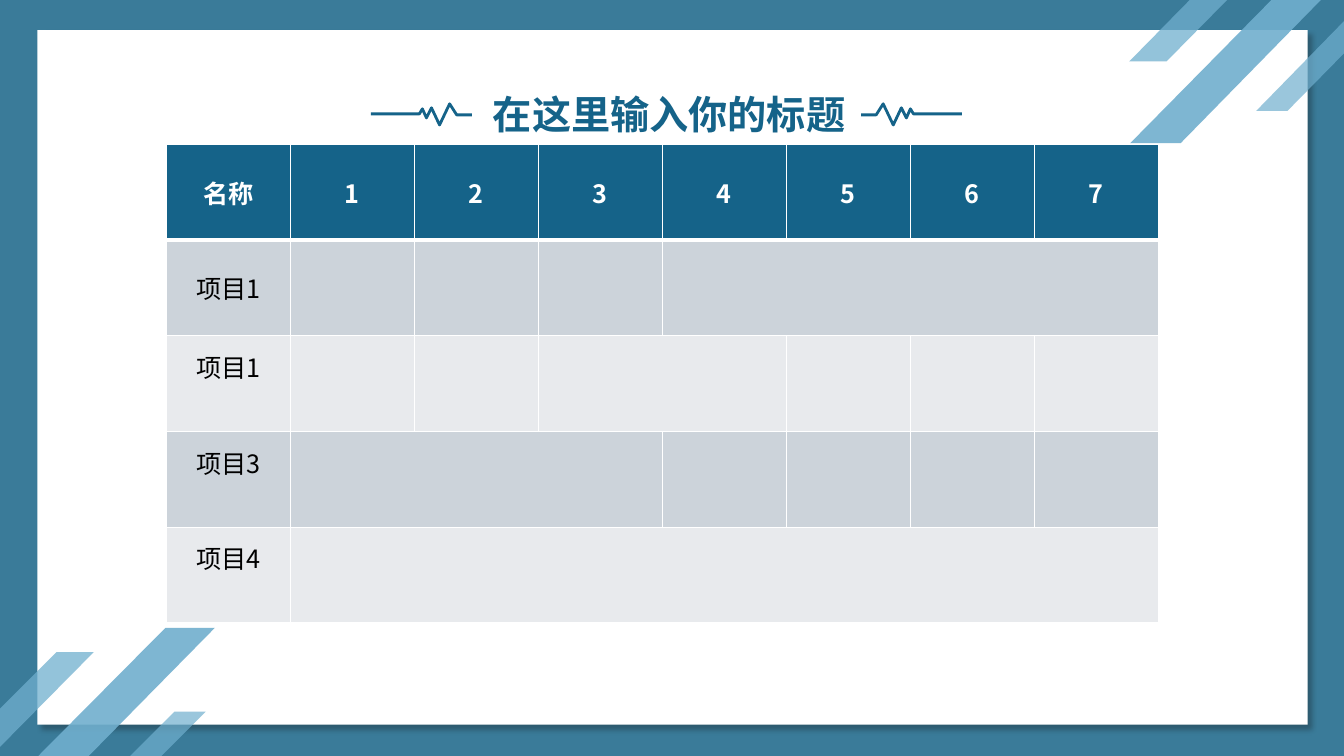
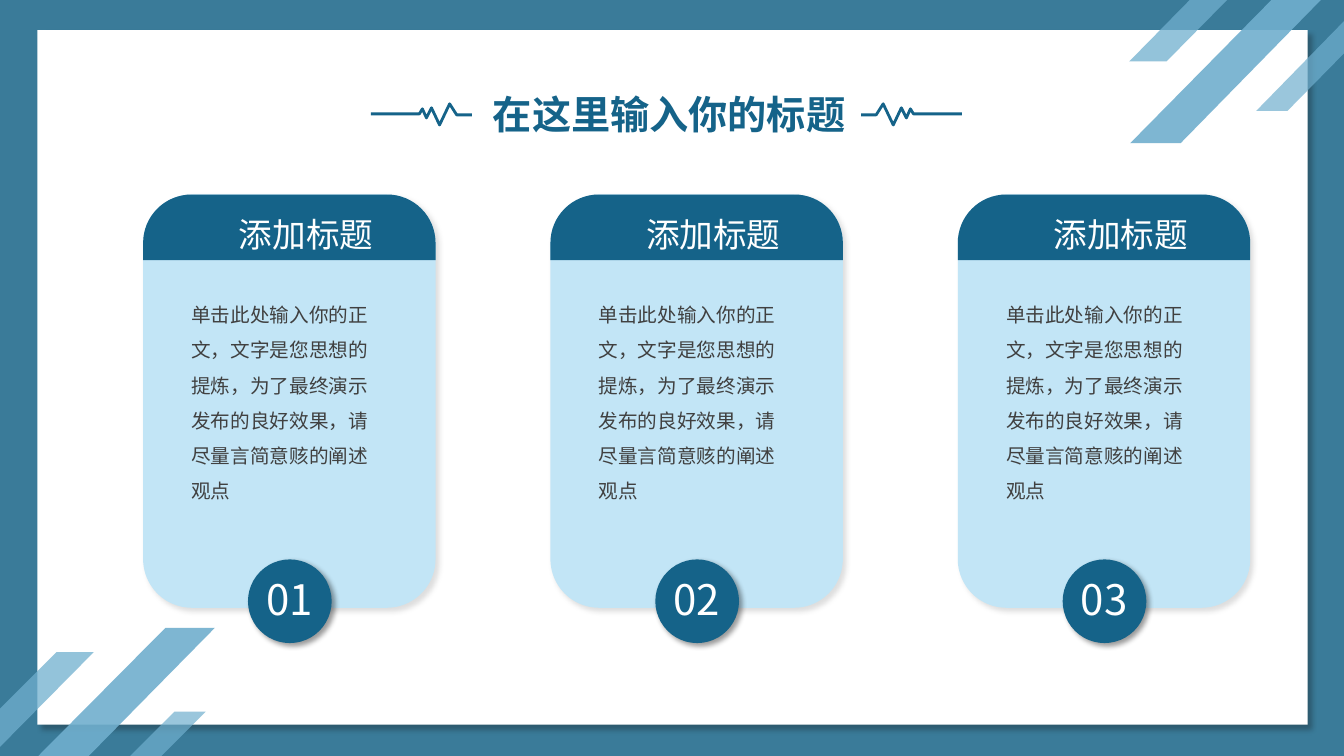
from math import cos, pi, sin

from lxml.etree import SubElement
from pptx import Presentation
from pptx.dml.color import RGBColor
from pptx.enum.shapes import MSO_SHAPE as Shape
from pptx.enum.text import MSO_ANCHOR as Anchor, MSO_AUTO_SIZE as AutoSize, PP_ALIGN as Align
from pptx.oxml.ns import qn
from pptx.util import Inches, Pt

FONT = "Noto Sans CJK SC"
BACKGROUND = RGBColor(0xF2, 0xF2, 0xF2)
BORDER = RGBColor(0x3A, 0x7B, 0x99)
STRIPE = RGBColor(0x70, 0xAF, 0xCE)
NAVY = RGBColor(0x15, 0x63, 0x89)
SKY = RGBColor(0xC2, 0xE5, 0xF6)
WHITE = RGBColor(0xFF, 0xFF, 0xFF)
BLACK = RGBColor(0x00, 0x00, 0x00)
NEAR_BLACK = RGBColor(0x0D, 0x0D, 0x0D)
BODY = RGBColor(0x40, 0x40, 0x40)
BAND_DARK = RGBColor(0xCC, 0xD3, 0xDA)
BAND_LIGHT = RGBColor(0xE8, 0xEA, 0xED)

WIDTH, HEIGHT = 13.33, 7.5
TITLE = "在这里输入你的标题"
CARD_TITLE = "添加标题"
CARD_BODY = "单击此处输入你的正文，文字是您思想的提炼，为了最终演示发布的良好效果，请尽量言简意赅的阐述观点"

# Outline and opacity in percent
STRIPES = [
    ([(12.61, 0), (13.1, 0), (11.71, 1.42), (11.21, 1.42)], 90),
    ([(11.8, 0), (12.17, 0), (11.57, 0.61), (11.2, 0.61)], 75),
    ([(13.33, 0.21), (13.33, 0.53), (12.77, 1.1), (12.46, 1.1)], 70),
    ([(1.64, 6.23), (2.13, 6.23), (0.88, 7.5), (0.38, 7.5)], 90),
    ([(0.56, 6.47), (0.93, 6.47), (0, 7.41), (0, 7.03)], 75),
    ([(1.73, 7.06), (2.04, 7.06), (1.6, 7.5), (1.29, 7.5)], 70),
]
PULSE = [(4.68, 1.14), (4.53, 1.14), (4.46, 1.03), (4.36, 1.24), (4.28, 1.07),
         (4.23, 1.17), (4.19, 1.08), (4.16, 1.13), (3.68, 1.13)]
PULSE_MIRROR = 13.22

TABLE_HEAD = ["名称", "1", "2", "3", "4", "5", "6", "7"]
# Row name, then first and last column of its merged span
TABLE_ROWS = [("项目1", 4, 7), ("项目1", 3, 4), ("项目3", 1, 3), ("项目4", 1, 7)]
COLUMN_WIDTH, ROW_HEIGHT = 1.23, 0.95

CARD_LEFT, CARD_TOP, CARD_PITCH = 1.42, 1.93, 4.04
CARD_WIDTH, CARD_HEIGHT, CARD_RADIUS, CARD_HEAD = 2.9, 4.1, 0.48, 0.65


def set_alpha(color_element, percent):
    SubElement(color_element, qn("a:alpha"), val=str(percent * 1000))


class Deck:
    """Presentation style together with the page being drawn."""

    def __init__(self):
        self.file = Presentation()
        self.file.slide_width, self.file.slide_height = Inches(WIDTH), Inches(HEIGHT)
        self.layout = self.file.slide_layouts[6]
        fill = self.layout.background.fill
        fill.solid()
        fill.fore_color.rgb = BACKGROUND
        self.page = None

    def add_page(self):
        self.page = self.file.slides.add_slide(self.layout)
        self.text(4.79, 0.85, 3.75, 0.57, TITLE, 28, NAVY, bold=True)

    def share(self, shape):
        """Move a shape to the layout, so that every page shows it."""
        self.layout.shapes.element.append(shape.element)

    def paint(self, shape, color, alpha=None):
        shape.shadow.inherit = False
        shape.line.fill.background()
        shape.fill.solid()
        shape.fill.fore_color.rgb = color
        if alpha is not None:
            set_alpha(shape.element.spPr.find(".//" + qn("a:srgbClr")), alpha)
        return shape

    def shape(self, kind, left, top, width, height, color):
        shape = self.page.shapes.add_shape(
            kind, Inches(left), Inches(top), Inches(width), Inches(height))
        return self.paint(shape, color)

    def shadow(self, shape, color, alpha, blur, distance):
        effects = shape.element.spPr.find(qn("a:effectLst"))
        outer = SubElement(effects, qn("a:outerShdw"), blurRad=str(Pt(blur)),
                           dist=str(Pt(distance)), dir=str(45 * 60000),
                           algn="tl", rotWithShape="0")
        set_alpha(SubElement(outer, qn("a:srgbClr"), val=str(color)), alpha)

    def outline(self, points, close):
        start, *others = [(Inches(x), Inches(y)) for x, y in points]
        builder = self.page.shapes.build_freeform(*start)
        builder.add_line_segments(others, close=close)
        return builder.convert_to_shape()

    def polygon(self, points, color, alpha=None):
        return self.paint(self.outline(points, True), color, alpha)

    def polyline(self, points, color, weight):
        shape = self.outline(points, False)
        shape.shadow.inherit = False
        shape.fill.background()
        shape.line.color.rgb = color
        shape.line.width = Pt(weight)
        return shape

    def add_span(self, para, text, size, color, bold=False):
        span = para.add_run()
        span.text = text
        font = span.font
        font.size, font.bold, font.name = Pt(size), bold, FONT
        font.color.rgb = color
        SubElement(span._r.get_or_add_rPr(), qn("a:ea"), typeface=FONT)

    def text(self, left, top, width, height, text, size, color,
             bold=False, wrap=True, align=Align.LEFT, spacing=None):
        box = self.page.shapes.add_textbox(
            Inches(left), Inches(top), Inches(width), Inches(height))
        frame = box.text_frame
        frame.word_wrap = wrap
        frame.auto_size = AutoSize.SHAPE_TO_FIT_TEXT
        para = frame.paragraphs[0]
        para.alignment = align
        para.line_spacing = spacing
        self.add_span(para, text, size, color, bold)

    def table(self, left, top, rows, columns):
        table = self.page.shapes.add_table(
            rows, columns, Inches(left), Inches(top),
            Inches(columns * COLUMN_WIDTH), Inches(rows * ROW_HEIGHT)).table
        for column in table.columns:
            column.width = Inches(COLUMN_WIDTH)
        for row in table.rows:
            row.height = Inches(ROW_HEIGHT)
        return table

    def cell(self, cell, color, top_border=1, bottom_border=1):
        borders = {"lnL": 1, "lnR": 1, "lnT": top_border, "lnB": bottom_border}
        properties = cell._tc.get_or_add_tcPr()
        for side, weight in borders.items():
            line = SubElement(properties, qn("a:" + side), w=str(Pt(weight)))
            fill = SubElement(line, qn("a:solidFill"))
            SubElement(fill, qn("a:srgbClr"), val=str(WHITE))
        cell.fill.solid()
        cell.fill.fore_color.rgb = color
        cell.vertical_anchor = Anchor.MIDDLE

    def cell_text(self, cell, text, color, bold=False):
        para = cell.text_frame.paragraphs[0]
        para.alignment = Align.CENTER
        self.add_span(para, text, 18, color, bold)


def draw_frame(deck):
    """Draw the border, panel, stripes and pulses shared by all pages."""
    deck.share(deck.shape(Shape.RECTANGLE, 0, 0, WIDTH, HEIGHT, BORDER))
    panel = deck.shape(Shape.RECTANGLE, 0.37, 0.3, 12.6, 6.89, WHITE)
    deck.shadow(panel, NEAR_BLACK, 30, 4, 5)
    deck.share(panel)
    for points, alpha in STRIPES:
        deck.share(deck.polygon(points, STRIPE, alpha))
    mirrored = [(PULSE_MIRROR - x, y) for x, y in PULSE]
    for points in (PULSE, mirrored):
        deck.share(deck.polyline(points, NAVY, 2))


def draw_schedule(deck):
    table = deck.table(1.65, 1.43, len(TABLE_ROWS) + 1, len(TABLE_HEAD))
    for column, label in enumerate(TABLE_HEAD):
        cell = table.cell(0, column)
        deck.cell(cell, NAVY, bottom_border=3)
        deck.cell_text(cell, label, WHITE, bold=True)
    for row, (name, first, last) in enumerate(TABLE_ROWS, start=1):
        for column in range(len(TABLE_HEAD)):
            deck.cell(table.cell(row, column), BAND_DARK if row % 2 else BAND_LIGHT,
                      top_border=3 if row == 1 else 1)
        name_cell = table.cell(row, 0)
        deck.cell_text(name_cell, name, BLACK)
        if row > 1:
            name_cell.margin_bottom = Inches(0.39)
        table.cell(row, first).merge(table.cell(row, last))


def card_head(left):
    """Return the outline of a card's header, rounded at the top."""
    right, bottom = left + CARD_WIDTH, CARD_TOP + CARD_HEAD
    center_y = CARD_TOP + CARD_RADIUS
    points = [(left, bottom)]
    for center_x, start in ((left + CARD_RADIUS, pi), (right - CARD_RADIUS, pi / 2)):
        for step in range(17):
            angle = start - step * pi / 32
            points.append((center_x + CARD_RADIUS * cos(angle),
                           center_y - CARD_RADIUS * sin(angle)))
    return points + [(right, bottom)]


def draw_card(deck, index):
    left = CARD_LEFT + index * CARD_PITCH
    card = deck.shape(Shape.ROUNDED_RECTANGLE, left, CARD_TOP, CARD_WIDTH, CARD_HEIGHT, SKY)
    deck.shadow(card, BLACK, 13, 4, 3)
    deck.polygon(card_head(left), NAVY)
    badge = deck.shape(Shape.OVAL, left + 1.04, 5.55, 0.83, 0.83, NAVY)
    deck.shadow(badge, BLACK, 40, 4, 3)
    deck.text(left + 0.85, 2.07, 1.55, 0.5, CARD_TITLE, 24, WHITE, wrap=False)
    deck.text(left + 0.38, 2.84, 2.14, 2.18, CARD_BODY, 14, BODY, spacing=1.5)
    deck.text(left + 1.1, 5.64, 0.7, 0.61, f"{index + 1:02}", 30, WHITE,
              wrap=False, align=Align.CENTER)


def main():
    deck = Deck()
    deck.add_page()
    draw_frame(deck)
    draw_schedule(deck)
    deck.add_page()
    for index in range(3):
        draw_card(deck, index)
    deck.file.save("out.pptx")


if __name__ == "__main__":
    main()
